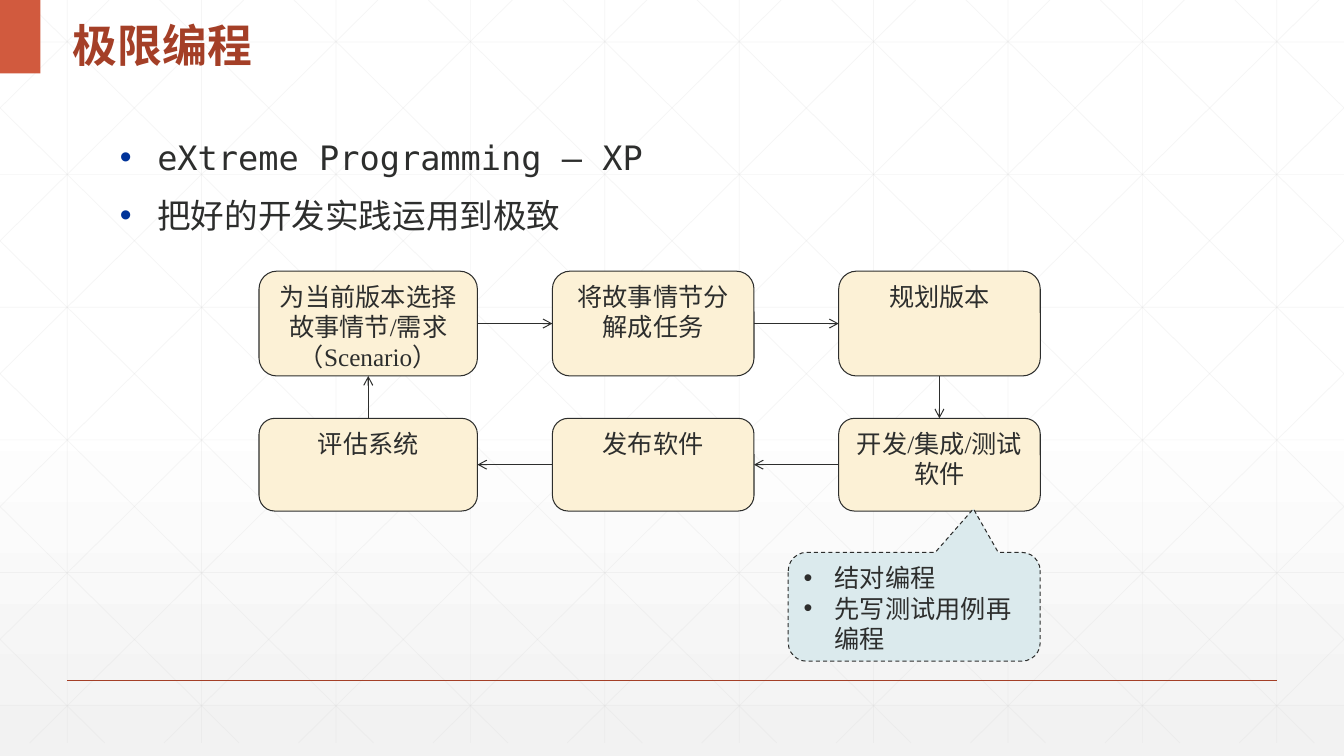
import lxml.etree
import pptx
import pptx.dml.color
import pptx.enum.dml
import pptx.enum.shapes
import pptx.enum.text
import pptx.oxml.ns
import pptx.util

RGBColor = pptx.dml.color.RGBColor
WHITE = RGBColor(0xFF, 0xFF, 0xFF)
MIST = RGBColor(0xF2, 0xF2, 0xF2)
GREY = RGBColor(0xD9, 0xD9, 0xD9)
RUST = RGBColor(0xA4, 0x3F, 0x27)
CORAL = RGBColor(0xD1, 0x5A, 0x3E)
INK = RGBColor(0x2D, 0x2E, 0x2D)
NAVY = RGBColor(0x00, 0x33, 0x99)
CREAM = RGBColor(0xFC, 0xF1, 0xD6)
ICE = RGBColor(0xDB, 0xEA, 0xED)

HAN, MONO, SERIF = "Noto Sans CJK SC", "DejaVu Sans Mono", "Times New Roman"
COLS, ROWS = 160, 90
TOP, LEFT, BOTTOM, RIGHT = range(4)
KIND = pptx.enum.shapes.MSO_SHAPE
ALIGN = pptx.enum.text.PP_ALIGN
ANCHOR = pptx.enum.text.MSO_ANCHOR


def node(parent, tag, **attrs):
    return lxml.etree.SubElement(parent, pptx.oxml.ns.qn(tag), **attrs)


class Deck:
    """Holds the style and the slide; lengths are columns and rows."""

    def __init__(self):
        self.show = pptx.Presentation()
        self.show.slide_width = pptx.util.Inches(13.33)
        self.show.slide_height = pptx.util.Inches(7.5)
        self.slide = self.show.slides.add_slide(self.show.slide_layouts[1])
        self.shapes = self.slide.shapes

    def place(self, x, y):
        return (round(self.show.slide_width * x / COLS),
                round(self.show.slide_height * y / ROWS))

    def fade(self, stops):
        """Fill the background downwards with (percent, colour) stops."""
        fill = self.slide.background.fill
        fill.gradient()
        fill.gradient_angle = 270
        chain = self.slide.element.find(".//" + pptx.oxml.ns.qn("a:gsLst"))
        for old in list(chain):
            chain.remove(old)
        for share, color in stops:
            stop = node(chain, "a:gs", pos=str(share * 1000))
            node(stop, "a:srgbClr", val=str(color))

    def line(self, start, end, color=INK, width=0.75, alpha=None):
        link = self.shapes.add_connector(
            pptx.enum.shapes.MSO_CONNECTOR.STRAIGHT,
            *self.place(*start), *self.place(*end))
        link.line.color.rgb = color
        link.line.width = pptx.util.Pt(width)
        node(link._element.spPr, "a:effectLst")
        if alpha:
            tint = link._element.find(".//" + pptx.oxml.ns.qn("a:srgbClr"))
            node(tint, "a:alpha", val=str(alpha * 1000))
        return link

    def arrow(self, source, side, target, entry):
        link = self.line((0, 0), (0, 0))
        link.begin_connect(source, side)
        link.end_connect(target, entry)
        edge = link._element.find(".//" + pptx.oxml.ns.qn("a:ln"))
        node(edge, "a:tailEnd", type="arrow")

    def shape(self, kind, at, fill, edge=None, adjust=()):
        item = self.shapes.add_shape(
            kind, *self.place(*at[:2]), *self.place(*at[2:]))
        item.shadow.inherit = False
        item.fill.solid()
        item.fill.fore_color.rgb = fill
        if edge:
            item.line.color.rgb = edge
            item.line.width = pptx.util.Pt(0.75)
        else:
            item.line.fill.background()
        for i, value in enumerate(adjust):
            item.adjustments[i] = value
        return item

    def holder(self, index, at):
        """Move a template placeholder and bring it to the front."""
        item = self.slide.placeholders[index]
        item.left, item.top = self.place(*at[:2])
        item.width, item.height = self.place(*at[2:])
        item._element.getparent().append(item._element)
        return item

    def label(self, item, lines, size=18, font=SERIF, color=INK, bold=False,
              align=ALIGN.LEFT, anchor=ANCHOR.TOP, indent=0, dot=None,
              pitch=1.0, gap=0):
        """Set paragraphs; a dot colour and an indent in inches make a list."""
        frame = item.text_frame
        frame.word_wrap = True
        frame.auto_size = pptx.enum.text.MSO_AUTO_SIZE.NONE
        frame.vertical_anchor = anchor
        for i, text in enumerate(lines):
            para = frame.add_paragraph() if i else frame.paragraphs[0]
            if dot:
                step = pptx.util.Inches(indent)
                props = para._p.get_or_add_pPr()
                props.set("marL", str(step))
                props.set("indent", str(-step))
                node(node(props, "a:buClr"), "a:srgbClr", val=str(dot))
                node(props, "a:buFont", typeface="Arial")
                node(props, "a:buChar", char="•")
            para.alignment = align
            para.line_spacing = pitch
            para.space_before = pptx.util.Pt(gap if i else 0)
            run = para.add_run()
            run.text = text
            run.font.size = pptx.util.Pt(size)
            run.font.bold = bold
            run.font.color.rgb = color
            run.font.name = font
            node(run._r.get_or_add_rPr(), "a:ea", typeface=HAN)

    def mesh(self):
        """Draw the faint background grid and its mirrored diagonals."""
        floor, span, step = 88.44, 89.46, 16
        pairs = [((x, 0), (x, floor)) for x in range(8, COLS, step)]
        pairs += [((0, 5 + 15.79 * i), (COLS, 5 + 15.79 * i))
                  for i in range(6)]
        slope = floor / span
        for x in range(3 - 5 * step, COLS, step):
            near, far = max(x, 0), min(x + span, COLS)
            high, low = (near - x) * slope, (far - x) * slope
            pairs.append(((near, high), (far, low)))
            pairs.append(((COLS - near, high), (COLS - far, low)))
        for start, end in pairs:
            self.line(start, end, GREY, 0.5, 25)


def main():
    deck = Deck()
    deck.fade([(0, WHITE), (53, WHITE), (100, MIST)])
    deck.mesh()
    deck.line((8, 81), (152, 81), RUST, 1)
    deck.shape(KIND.RECTANGLE, (0, 0, 4.8, 8.76), CORAL)

    title = deck.holder(0, (7.44, 0, 90.84, 8.76))
    deck.label(title, ["极限编程"], 32, HAN, RUST, True,
               anchor=ANCHOR.MIDDLE, pitch=1.3)
    body = deck.holder(1, (14.28, 15.36, 108, 61.32))
    frame = body.text_frame
    frame.margin_left = frame.margin_right = 0
    frame.margin_top = frame.margin_bottom = 0
    deck.label(body, ["eXtreme Programming – XP", "把好的开发实践运用到极致"],
               24, MONO, indent=0.37, dot=NAVY, pitch=1.2, gap=7)

    cols = [(30.84, 26), (65.76, 24), (99.84, 24)]
    rows = [(32.28, 12.48), (49.8, 11.04)]
    steps = [
        (0, 0, RIGHT, LEFT, ["为当前版本选择故事情节/需求", "（Scenario）"]),
        (1, 0, RIGHT, LEFT, ["将故事情节分解成任务"]),
        (2, 0, BOTTOM, TOP, ["规划版本"]),
        (2, 1, LEFT, RIGHT, ["开发/集成/测试软件"]),
        (1, 1, LEFT, RIGHT, ["发布软件"]),
        (0, 1, TOP, BOTTOM, ["评估系统"]),
    ]
    cards = []
    for col, row, _, _, lines in steps:
        (x, wide), (y, high) = cols[col], rows[row]
        card = deck.shape(KIND.ROUNDED_RECTANGLE, (x, y, wide, high),
                          CREAM, INK, [0.17])
        deck.label(card, lines, align=ALIGN.CENTER)
        cards.append(card)
    for i, (_, _, side, entry, _) in enumerate(steps):
        deck.arrow(cards[i], side, cards[(i + 1) % len(cards)], entry)

    note = deck.shape(KIND.ROUNDED_RECTANGULAR_CALLOUT,
                      (93.84, 65.76, 30, 12.96), ICE, INK,
                      [0.235, -0.9, 0.17])
    note.line.dash_style = pptx.enum.dml.MSO_LINE.DASH
    deck.label(note, ["结对编程", "先写测试用例再编程"], indent=0.31, dot=INK)
    deck.show.save("out.pptx")


if __name__ == "__main__":
    main()
